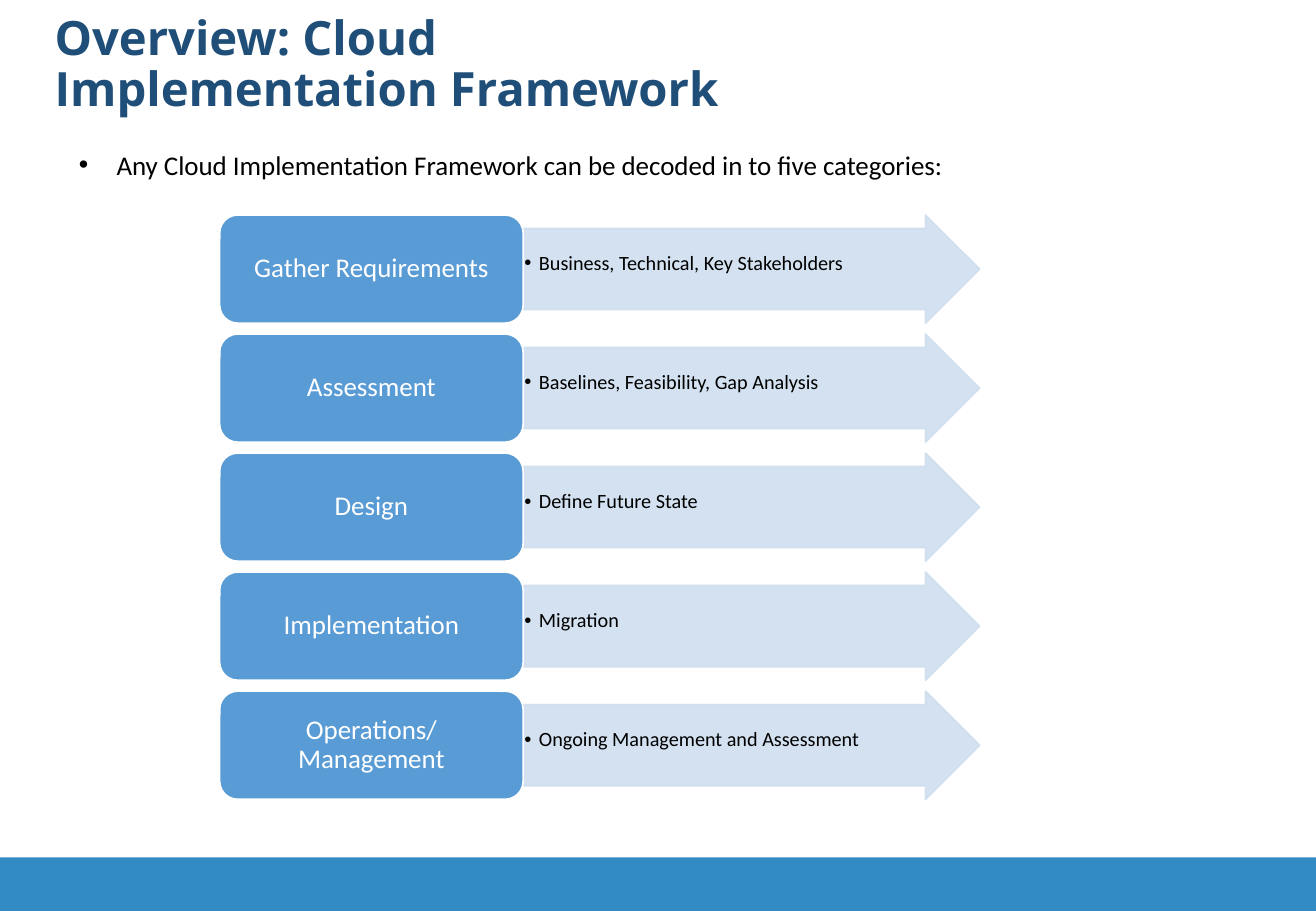
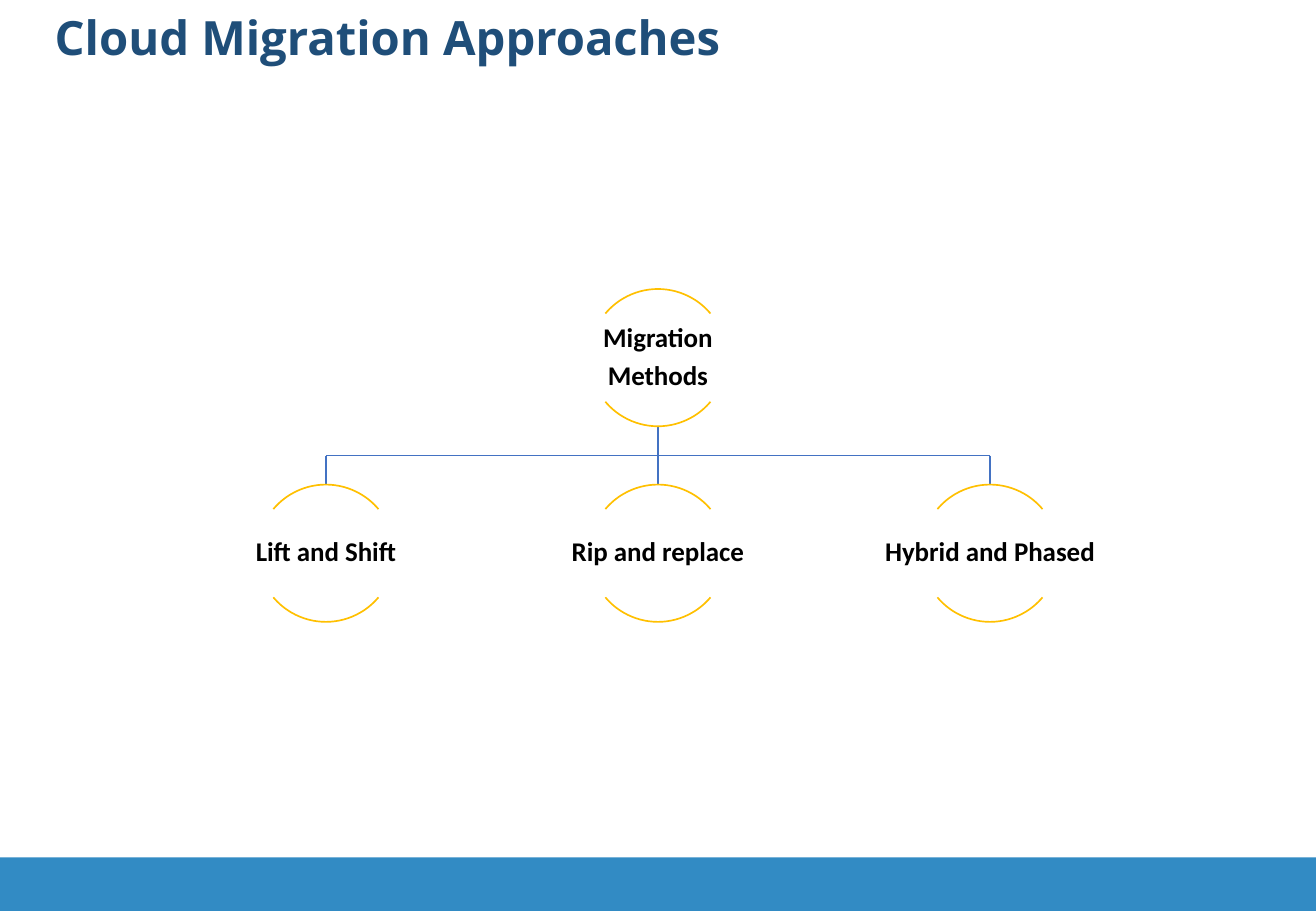
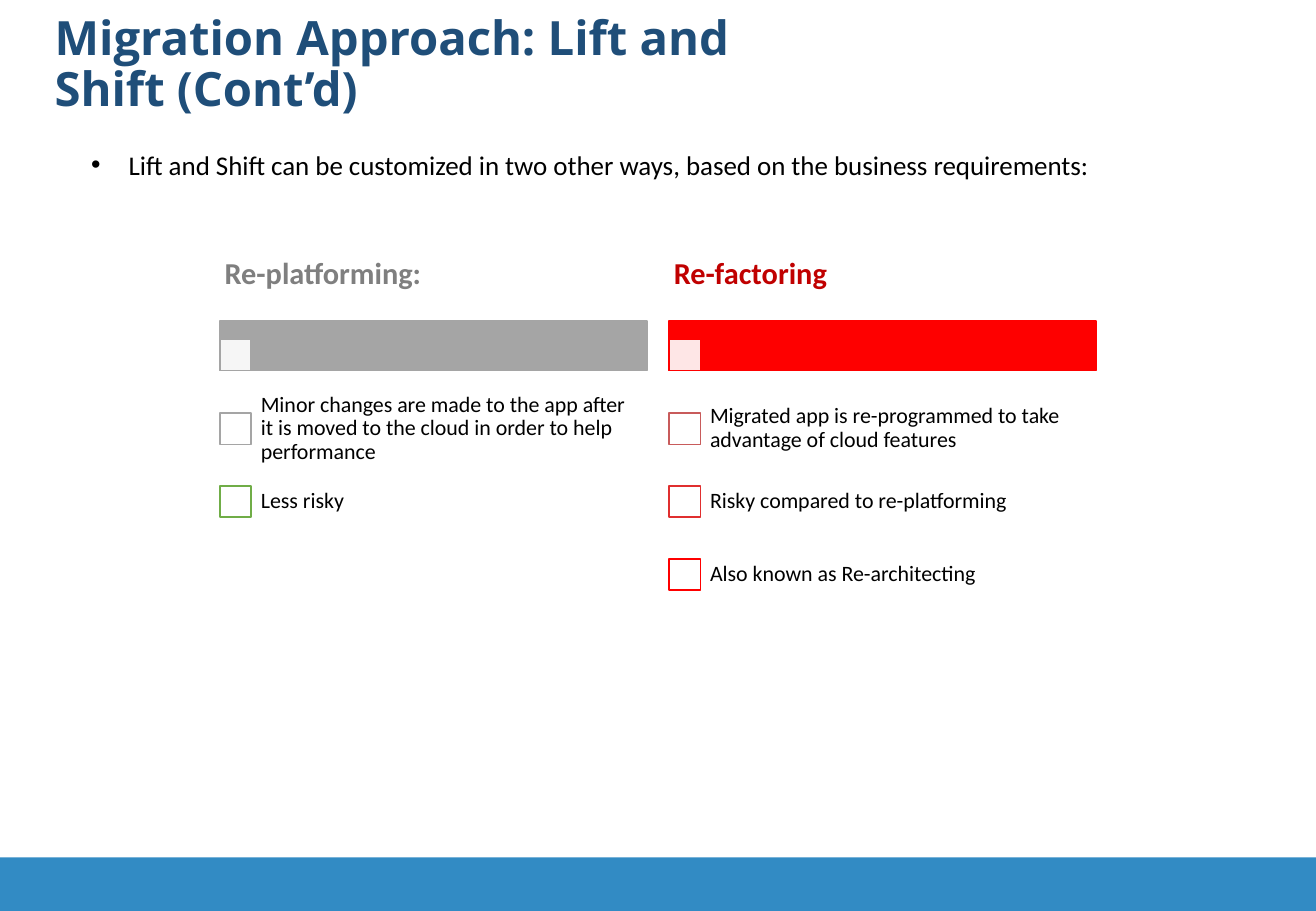
from lxml.etree import SubElement
from pptx import Presentation
from pptx.dml.color import RGBColor
from pptx.enum.shapes import MSO_CONNECTOR, MSO_SHAPE
from pptx.enum.text import MSO_ANCHOR, MSO_AUTO_SIZE, PP_ALIGN
from pptx.oxml.ns import qn
from pptx.util import Inches, Pt

BLACK = RGBColor(0x00, 0x00, 0x00)
WHITE = RGBColor(0xFF, 0xFF, 0xFF)
NAVY = RGBColor(0x1F, 0x4E, 0x79)
BAND_BLUE = RGBColor(0x32, 0x8B, 0xC4)
STEP_BLUE = RGBColor(0x59, 0x9B, 0xD5)
PALE_BLUE = RGBColor(0xCF, 0xDE, 0xEF)
LINE_BLUE = RGBColor(0x43, 0x72, 0xC3)
GOLD = RGBColor(0xFF, 0xC0, 0x00)
GREY = RGBColor(0xA5, 0xA5, 0xA5)
DARK_GREY = RGBColor(0x7F, 0x7F, 0x7F)
GREEN = RGBColor(0x70, 0xAD, 0x47)
RED = RGBColor(0xFE, 0x00, 0x00)
DARK_RED = RGBColor(0xC0, 0x00, 0x00)
DULL_RED = RGBColor(0xC8, 0x5B, 0x5B)
MID_RED = RGBColor(0xE0, 0x2F, 0x2F)

# The grid has square cells, so one column is as wide as one row is high.
CELL = Inches(0.1)
COLUMNS, ROWS = 108.4, 75
BAND_ROWS = 4.4


def cells(*counts):
    return [round(count * CELL) for count in counts]


def add_bullet(paragraph, indent):
    """Hang the paragraph by indent cells behind a black dot."""
    properties = paragraph._p.get_or_add_pPr()
    hang, = cells(indent)
    properties.set("marL", str(hang))
    properties.set("indent", str(-hang))
    colour = SubElement(properties, qn("a:buClr"))
    SubElement(colour, qn("a:srgbClr")).set("val", str(BLACK))
    SubElement(properties, qn("a:buFont")).set("typeface", "Arial")
    SubElement(properties, qn("a:buChar")).set("char", "•")


def write(shape, text, size=16, color=BLACK, bold=False, font="Calibri",
          align=PP_ALIGN.LEFT, anchor=MSO_ANCHOR.MIDDLE, spacing=0.9,
          gap=0, bullet=None, margins=(0.1, 0.1, 0.1, 0.1)):
    """Fill a shape; margins are left, top, right, bottom in cells, gap is in points."""
    frame = shape.text_frame
    frame.word_wrap = True
    frame.auto_size = MSO_AUTO_SIZE.NONE
    frame.vertical_anchor = anchor
    (frame.margin_left, frame.margin_top,
     frame.margin_right, frame.margin_bottom) = cells(*margins)
    for index, line in enumerate(text.split("\n")):
        paragraph = frame.add_paragraph() if index else frame.paragraphs[0]
        if bullet:
            add_bullet(paragraph, bullet)
        paragraph.alignment = align
        paragraph.line_spacing = spacing
        paragraph.space_before = Pt(gap if index else 0)
        run = paragraph.add_run()
        run.text = line
        run.font.name = font
        run.font.size = Pt(size)
        run.font.bold = bold
        run.font.color.rgb = color


def make_translucent(shape, color):
    """Let a tenth of the ground through wherever the shape uses this colour."""
    for node in shape.element.spPr.iter(qn("a:srgbClr")):
        if node.get("val") == str(color):
            SubElement(node, qn("a:alpha")).set("val", "90000")


class Deck:
    """Holds the shared style and the slide being built."""

    PLACEHOLDER_MARGINS = (1, 0.5, 1, 0.5)

    def __init__(self):
        self.presentation = Presentation()
        self.presentation.slide_width, self.presentation.slide_height = cells(COLUMNS, ROWS)
        self.slide = None

    def add_slide(self, title, layout="Title Only"):
        first = self.slide is None
        layouts = self.presentation.slide_layouts
        self.slide = self.presentation.slides.add_slide(layouts.get_by_name(layout))
        if first:
            self.move_band_to_master()
        self.fill_placeholder(0, (3.5, 0.7, 62.1, 6.9), title, size=28,
                              color=NAVY, bold=True, font="Open Sans")

    def add_list_slide(self, title, text, left, width):
        self.add_slide(title, "Title and Content")
        self.fill_placeholder(1, (left, 10.4, width, 4.6), text, spacing=1.5, bullet=3.1)

    def move_band_to_master(self):
        band = self.shape(MSO_SHAPE.RECTANGLE, 0, ROWS - BAND_ROWS, COLUMNS, BAND_ROWS,
                          fill=BAND_BLUE)
        self.presentation.slide_master.element.cSld.spTree.append(band.element)

    def fill_placeholder(self, index, box, text, **style):
        placeholder = self.slide.placeholders[index]
        (placeholder.left, placeholder.top,
         placeholder.width, placeholder.height) = cells(*box)
        write(placeholder, text, anchor=MSO_ANCHOR.TOP,
              margins=self.PLACEHOLDER_MARGINS, **style)

    def shape(self, kind, left, top, width, height, fill=None, line=None, adjustments=()):
        shape = self.slide.shapes.add_shape(kind, *cells(left, top, width, height))
        shape.shadow.inherit = False
        for index, value in enumerate(adjustments):
            shape.adjustments[index] = value
        if fill is None:
            shape.fill.background()
        else:
            shape.fill.solid()
            shape.fill.fore_color.rgb = fill
        if line is None:
            shape.line.fill.background()
        else:
            shape.line.color.rgb = line
            shape.line.width = Pt(1)
        return shape

    def label(self, left, top, width, height, text, **style):
        box = self.slide.shapes.add_textbox(*cells(left, top, width, height))
        write(box, text, **style)

    def connector(self, *ends):
        connector = self.slide.shapes.add_connector(MSO_CONNECTOR.STRAIGHT, *cells(*ends))
        connector.line.color.rgb = LINE_BLUE
        connector.line.width = Pt(1)
        SubElement(connector.element.spPr, qn("a:effectLst"))

    def step(self, top, name, detail):
        """A rounded box with an arrow that carries its detail."""
        left, box_width, arrow_width, height = 18.1, 25, 37.6, 8.9
        arrow = self.shape(MSO_SHAPE.RIGHT_ARROW, left + box_width, top, arrow_width, height,
                           fill=PALE_BLUE, line=PALE_BLUE, adjustments=(0.75, 0.5))
        make_translucent(arrow, PALE_BLUE)
        write(arrow, detail, size=12, bullet=1.2, margins=(0.1, 0, 0.1, 0.8))
        box = self.shape(MSO_SHAPE.ROUNDED_RECTANGLE, left, top, box_width, height,
                         fill=STEP_BLUE, line=WHITE)
        write(box, name, color=WHITE, align=PP_ALIGN.CENTER, margins=(0.7, 0.3, 0.7, 0.3))

    def node(self, center, top, diameter, text):
        """A name between the upper and lower arc of a circle."""
        for arc_angles in ((132, 192), (24, 84)):
            self.shape(MSO_SHAPE.ARC, center - diameter / 2, top, diameter, diameter,
                       line=GOLD, adjustments=arc_angles)
        width, height = 2 * diameter, 7.2
        self.label(center - width / 2, top + (diameter - height) / 2, width, height, text,
                   bold=True, align=PP_ALIGN.CENTER, gap=5.6)

    def checklist(self, left, heading, heading_color, bar_color, items):
        """A heading over a bar, with ticked-off items below."""
        width, side, first_row, pitch = 35.2, 2.6, 34, 6
        self.shape(MSO_SHAPE.RECTANGLE, left, 26.4, width, 4.1, fill=bar_color, line=bar_color)
        corner = self.shape(MSO_SHAPE.RECTANGLE, left, 30.5 - side, side, side,
                            fill=WHITE, line=bar_color)
        make_translucent(corner, WHITE)
        self.label(left, 18.9, width, 7.4, heading, size=18, color=heading_color,
                   bold=True, margins=(0.4, 0.2, 0.4, 0.2))
        for row, (text, color) in enumerate(items):
            top = first_row + row * pitch
            self.shape(MSO_SHAPE.RECTANGLE, left, top, side, side, fill=WHITE, line=color)
            self.label(left + 2.4, top + (side - pitch) / 2, width - 2.4, pitch, text,
                       size=13, margins=(1, 0, 1, 0))


def build_framework(deck):
    deck.add_list_slide(
        "Overview: Cloud Implementation Framework",
        "Any Cloud Implementation Framework can be decoded in to five categories:", 5.5, 93.7)
    steps = (
        ("Gather Requirements", "Business, Technical, Key Stakeholders"),
        ("Assessment", "Baselines, Feasibility, Gap Analysis"),
        ("Design", "Define Future State"),
        ("Implementation", "Migration"),
        ("Operations/ Management", "Ongoing Management and Assessment"),
    )
    for row, (name, detail) in enumerate(steps):
        deck.step(17.7 + row * 9.8, name, detail)


def build_approaches(deck):
    deck.add_slide("Cloud Migration Approaches")
    center, diameter, spread = COLUMNS / 2, 11.3, 27.35
    root_top, child_top = 23.8, 39.9
    root_bottom = root_top + diameter
    bus = (root_bottom + child_top) / 2
    deck.connector(center, root_bottom, center, bus)
    deck.connector(center - spread, bus, center + spread, bus)
    deck.node(center, root_top, diameter, "Migration\nMethods")
    for place, name in enumerate(("Lift and Shift", "Rip and replace", "Hybrid and Phased"), -1):
        child_center = center + place * spread
        deck.connector(child_center, bus, child_center, child_top)
        deck.node(child_center, child_top, diameter, name)


def build_lift_and_shift(deck):
    deck.add_list_slide(
        "Migration Approach: Lift and Shift (Cont’d)",
        "Lift and Shift can be customized in two other ways, based on the business requirements:",
        6.5, 95.4)
    deck.checklist(18.1, "Re-platforming:", DARK_GREY, GREY, (
        ("Minor changes are made to the app after it is moved to the cloud "
         "in order to help performance", GREY),
        ("Less risky", GREEN),
    ))
    deck.checklist(55.1, "Re-factoring", DARK_RED, RED, (
        ("Migrated app is re-programmed to take advantage of cloud features", DULL_RED),
        ("Risky compared to re-platforming", MID_RED),
        ("Also known as Re-architecting", RED),
    ))


def main():
    deck = Deck()
    build_framework(deck)
    build_approaches(deck)
    build_lift_and_shift(deck)
    deck.presentation.save("out.pptx")


if __name__ == "__main__":
    main()
